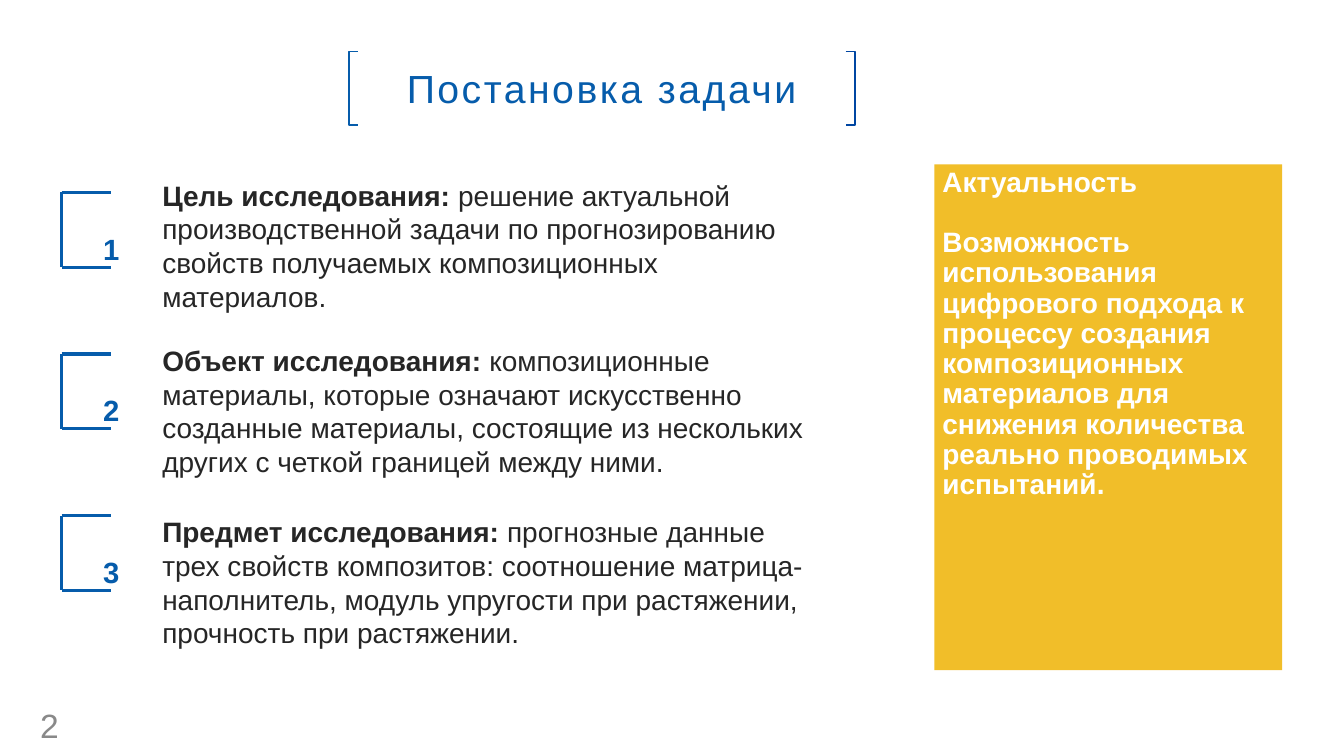
from dataclasses import dataclass

import pptx
import pptx.dml.color
import pptx.enum.shapes
import pptx.enum.text
import pptx.oxml.ns
import pptx.util
from lxml import etree
from pptx.util import Cm, Pt

ALIGN = pptx.enum.text.PP_ALIGN
ANCHOR = pptx.enum.text.MSO_ANCHOR


@dataclass(frozen=True)
class Theme:
    font: str = "Arial"
    blue: str = "065CAB"
    deep_blue: str = "0046A2"
    yellow: str = "F1BE29"
    white: str = "FFFFFF"
    ink: str = "262626"
    grey: str = "898989"
    title_size: int = 28
    body_size: int = 20
    number_size: int = 36
    page_size: int = 24


THEME = Theme()

GOALS = [
    (4.37, "Цель исследования: ",
     "решение актуальной производственной задачи по прогнозированию "
     "свойств получаемых композиционных материалов."),
    (8.53, "Объект исследования: ",
     "композиционные материалы, которые означают искусственно созданные "
     "материалы, состоящие из нескольких других с четкой границей между ними."),
    (12.85, "Предмет исследования: ",
     "прогнозные данные трех свойств композитов: соотношение "
     "матрица-наполнитель, модуль упругости при растяжении, "
     "прочность при растяжении."),
]
MARKER_LEFT, MARKER_TOP, MARKER_STEP = 1.55, 4.85, 4.07
MARKER_WIDTH, MARKER_HEIGHT = 1.25, 1.88


def rgb(colour):
    return pptx.dml.color.RGBColor.from_string(colour)


def add_run(paragraph, text, size, colour, bold=False, **marks):
    """Add one run; marks are extra character attributes such as spc."""
    run = paragraph.add_run()
    run.text = text
    run.font.name = THEME.font
    run.font.size = Pt(size)
    run.font.bold = bold
    run.font.color.rgb = rgb(colour)
    for name, value in marks.items():
        run.font._element.set(name, str(value))


def add_text_box(shapes, left, top, width, height):
    frame = shapes.add_textbox(Cm(left), Cm(top), Cm(width), Cm(height)).text_frame
    frame.word_wrap = True
    return frame


def add_panel(shapes, left, top, width, height, colour, inset=(0, 0)):
    """Add a plain rectangle and return its text frame."""
    panel = shapes.add_shape(pptx.enum.shapes.MSO_SHAPE.RECTANGLE,
                             Cm(left), Cm(top), Cm(width), Cm(height))
    panel.shadow.inherit = False
    panel.fill.solid()
    panel.fill.fore_color.rgb = rgb(colour)
    panel.line.fill.background()
    frame = panel.text_frame
    frame.word_wrap = True
    frame.margin_left = frame.margin_right = Cm(inset[0])
    frame.margin_top = frame.margin_bottom = Cm(inset[1])
    return frame


def add_title_bracket(shapes, tip, spine, top, bottom, colour):
    outline = shapes.build_freeform(Cm(tip), Cm(top))
    outline.add_line_segments([(Cm(spine), Cm(top)), (Cm(spine), Cm(bottom)),
                               (Cm(tip), Cm(bottom))], close=False)
    bracket = outline.convert_to_shape()
    bracket.shadow.inherit = False
    bracket.fill.background()
    bracket.line.color.rgb = rgb(colour)
    bracket.line.width = Pt(1.3)


def add_line(shapes, x1, y1, x2, y2):
    line = shapes.add_connector(pptx.enum.shapes.MSO_CONNECTOR.STRAIGHT,
                                Cm(x1), Cm(y1), Cm(x2), Cm(y2))
    line.line.color.rgb = rgb(THEME.blue)
    line.line.width = Pt(2.25)
    etree.SubElement(line._element.spPr, pptx.oxml.ns.qn("a:effectLst"))


def add_title(slide, text):
    title = slide.shapes.add_group_shape().shapes
    left, top, width, height = 8.79, 1.3, 12.75, 1.85
    frame = add_panel(title, left, top, width, height, THEME.white)
    frame.vertical_anchor = ANCHOR.MIDDLE
    heading = frame.paragraphs[0]
    heading.alignment = ALIGN.CENTER
    add_run(heading, text, THEME.title_size, THEME.blue, spc=180)
    right, bottom = left + width, top + height
    add_title_bracket(title, left + 0.23, left, top, bottom, THEME.blue)
    add_title_bracket(title, right - 0.23, right, top, bottom, THEME.deep_blue)


def add_marker(slide, number, top):
    """Add a numbered open bracket."""
    marker = slide.shapes.add_group_shape().shapes
    left, right, bottom = MARKER_LEFT, MARKER_LEFT + MARKER_WIDTH, top + MARKER_HEIGHT
    add_line(marker, left, top, left, bottom)
    for y in (top, bottom):
        add_line(marker, left, y, right, y)
    digit = add_text_box(marker, left + 0.8, top + 0.69, 3, 1.27).paragraphs[0]
    add_run(digit, str(number), THEME.number_size, THEME.blue, bold=True, baseline=30000)


def add_goal(slide, top, label, text):
    frame = add_text_box(slide.shapes, 3.84, top, 17.27, 3.68)
    frame.margin_right = Cm(0.5)
    goal = frame.paragraphs[0]
    add_run(goal, label, THEME.body_size, THEME.ink, bold=True)
    add_run(goal, text, THEME.body_size, THEME.ink)


def add_relevance(slide, heading, text):
    frame = add_panel(slide.shapes, 23.55, 4.14, 8.76, 12.75, THEME.yellow, (0.2, 0.1))
    frame.vertical_anchor = ANCHOR.TOP
    caption, reason = frame.paragraphs[0], frame.add_paragraph()
    for paragraph, words in ((caption, heading), (reason, text)):
        paragraph.alignment = ALIGN.LEFT
        paragraph.line_spacing = 0.9
        add_run(paragraph, words, THEME.body_size, THEME.white, bold=True)
    caption.alignment = ALIGN.JUSTIFY
    reason.space_before = Pt(21.5)


def add_page_number(slide, number):
    frame = add_text_box(slide.shapes, 0.76, 17.88, 1.57, 0.76)
    frame.vertical_anchor = ANCHOR.MIDDLE
    add_run(frame.paragraphs[0], number, THEME.page_size, THEME.grey)


def main():
    deck = pptx.Presentation()
    deck.slide_width, deck.slide_height = Cm(33.87), Cm(19.05)
    slide = deck.slides.add_slide(deck.slide_layouts[6])

    # Heading
    add_title(slide, "Постановка задачи")

    # Numbered goals
    for index, (top, label, text) in enumerate(GOALS):
        add_marker(slide, index + 1, MARKER_TOP + index * MARKER_STEP)
        add_goal(slide, top, label, text)

    # Relevance panel and page number
    add_relevance(slide, "Актуальность",
                  "Возможность использования цифрового подхода к процессу создания "
                  "композиционных материалов для снижения количества реально "
                  "проводимых испытаний.")
    add_page_number(slide, "2")

    deck.save("out.pptx")


if __name__ == "__main__":
    main()
